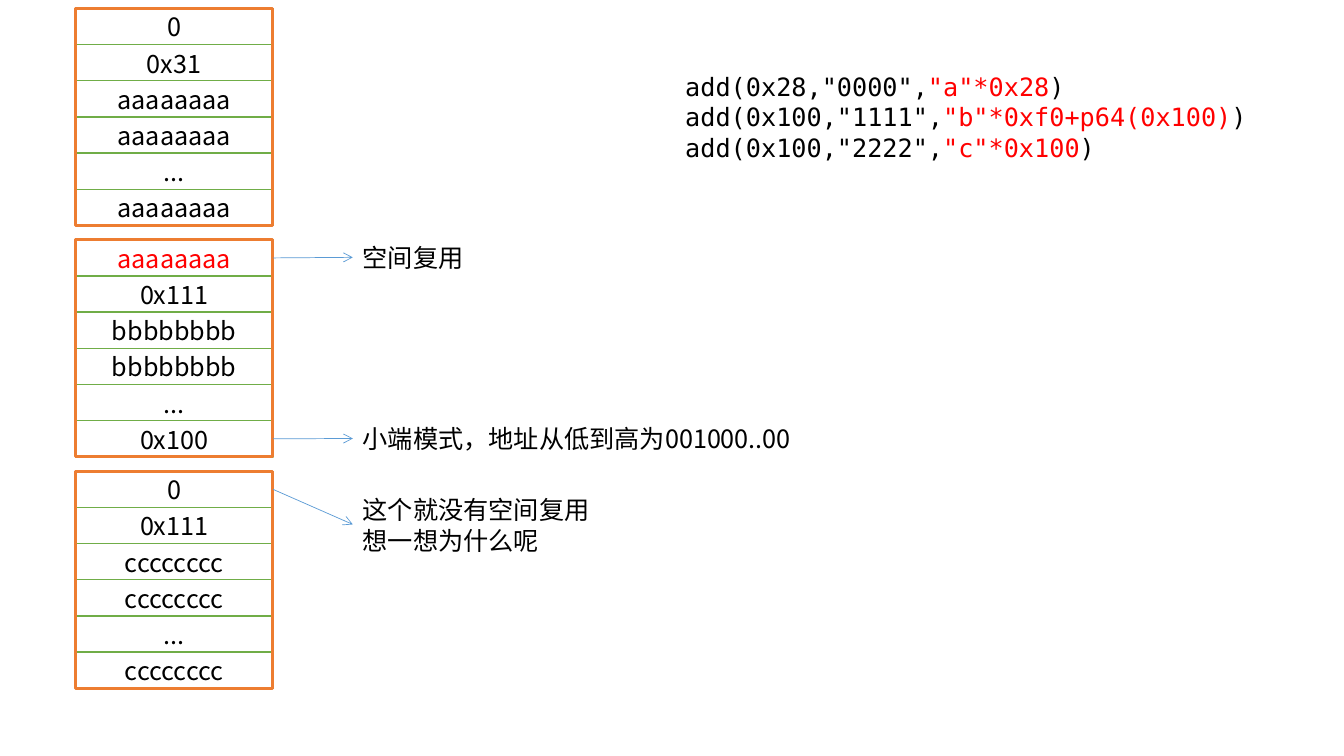
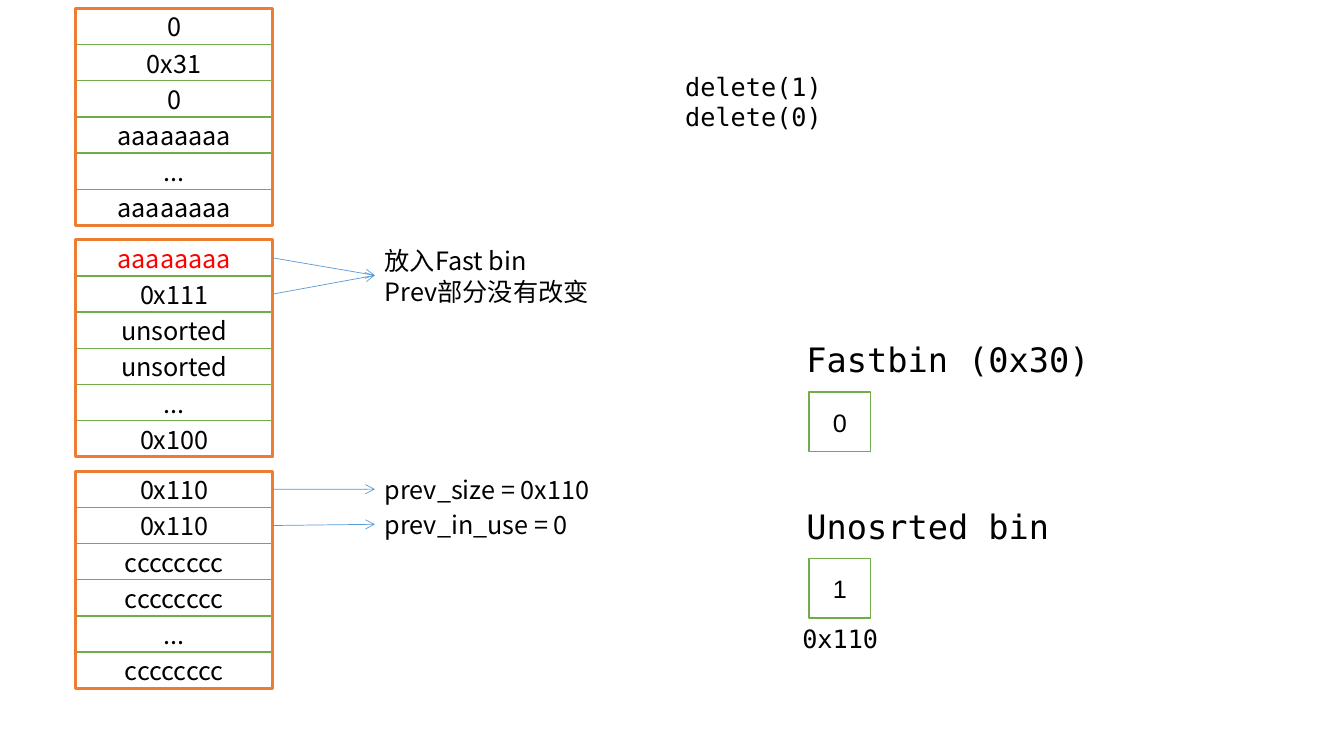
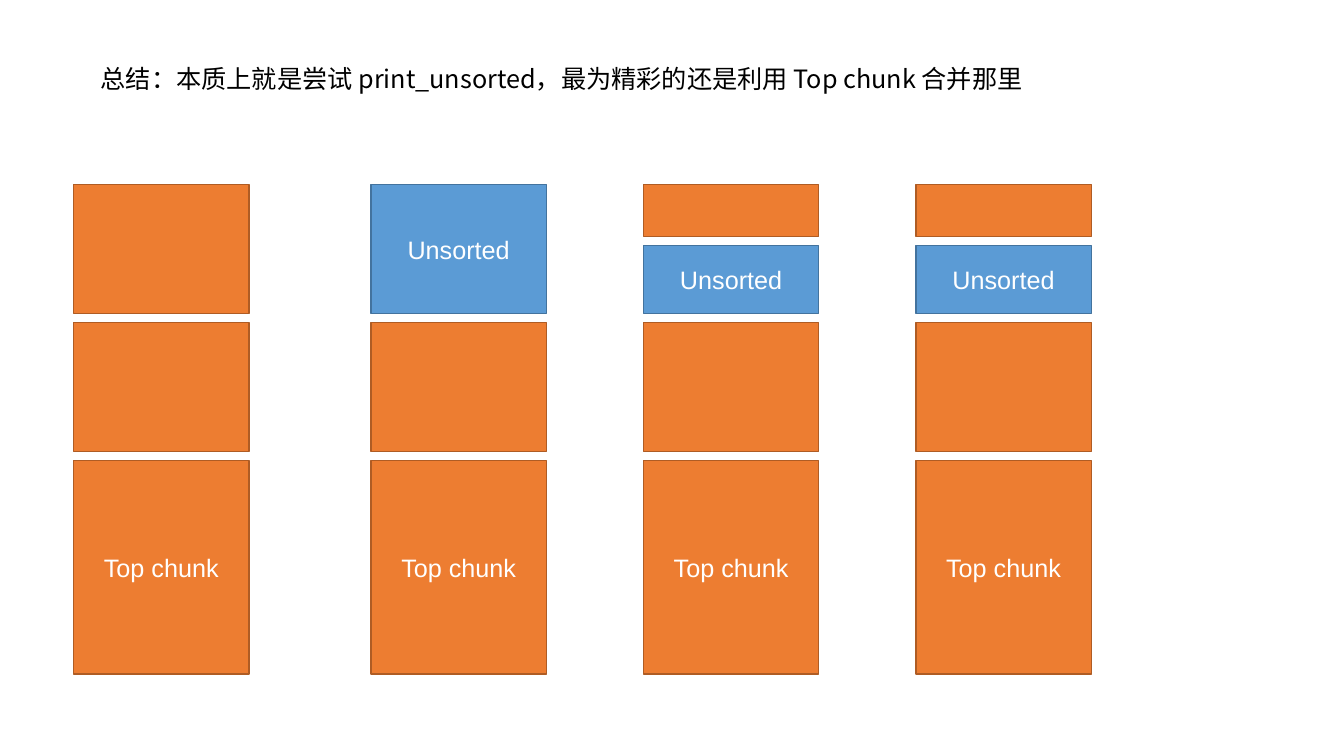
from dataclasses import dataclass

from lxml.etree import SubElement
from pptx import Presentation
from pptx.dml.color import RGBColor
from pptx.enum.shapes import MSO_CONNECTOR, MSO_SHAPE
from pptx.enum.text import MSO_ANCHOR, MSO_AUTO_SIZE, PP_ALIGN
from pptx.oxml.ns import qn
from pptx.util import Pt


@dataclass(frozen=True)
class Theme:
    black: str = "000000"
    white: str = "FFFFFF"
    red: str = "FF0000"
    green: str = "70AD47"
    orange: str = "ED7D31"
    orange_edge: str = "AF5C24"
    blue: str = "5B9BD5"
    blue_edge: str = "43739E"
    sans: str = "Arial"
    cjk: str = "Noto Sans CJK SC"
    mono: str = "DejaVu Sans Mono"
    body: int = 18
    heading: int = 24
    leading: float = 1.22


T = Theme()

# Memory column: three chunks of six rows
CHUNK_X, CHUNK_W, CHUNK_TOP, CHUNK_PITCH = 54, 141, 6, 165.3
ROW_H = 25.85

# Heap stages on the summary slide
STAGE_TOP, STAGE_W, STAGE_GAP = 131.8, 125.3, 6.6

OVERFLOW = [("aaaaaaaa", T.red)]


def rgb(code):
    return RGBColor.from_string(code)


def write(tf, lines, font, size=T.body, color=T.black, align=PP_ALIGN.LEFT):
    """Each line is a string or a list of (text, colour) runs."""
    tf.word_wrap = True
    tf.auto_size = MSO_AUTO_SIZE.NONE
    for i, line in enumerate(lines):
        p = tf.add_paragraph() if i else tf.paragraphs[0]
        p.alignment = align
        p.line_spacing = Pt(size * T.leading)
        for text, run_color in [(line, color)] if isinstance(line, str) else line:
            r = p.add_run()
            r.text = text
            r.font.name, r.font.size = font, Pt(size)
            r.font.color.rgb = rgb(run_color)
            SubElement(r.font._element, qn("a:ea"), typeface=font)


def text_height(lines, size=T.body):
    return len(lines) * size * 1.2 + 7.2


def add_text(s, x, y, w, lines, font, size=T.body, align=PP_ALIGN.LEFT):
    box = s.shapes.add_textbox(Pt(x), Pt(y), Pt(w), Pt(text_height(lines, size)))
    write(box.text_frame, lines, font, size, align=align)


def add_box(shapes, x, y, w, h, fill, line, weight=1, text=None,
            font=T.sans, color=T.black):
    sp = shapes.add_shape(MSO_SHAPE.RECTANGLE, Pt(x), Pt(y), Pt(w), Pt(h))
    sp.shadow.inherit = False
    if fill:
        sp.fill.solid()
        sp.fill.fore_color.rgb = rgb(fill)
    else:
        sp.fill.background()
    sp.line.color.rgb = rgb(line)
    sp.line.width = Pt(weight)
    if text:
        tf = sp.text_frame
        tf.vertical_anchor = MSO_ANCHOR.MIDDLE
        write(tf, [text], font, color=color, align=PP_ALIGN.CENTER)


def add_arrow(s, x1, y1, x2, y2):
    c = s.shapes.add_connector(MSO_CONNECTOR.STRAIGHT, Pt(x1), Pt(y1), Pt(x2), Pt(y2))
    c.line.color.rgb = rgb(T.blue)
    c.line.width = Pt(0.5)
    SubElement(c.line._get_or_add_ln(), qn("a:tailEnd"), type="arrow")
    SubElement(c._element.spPr, qn("a:effectLst"))


def row_top(chunk, row):
    return CHUNK_TOP + chunk * CHUNK_PITCH + row * ROW_H


def add_chunks(s, chunks):
    for i, rows in enumerate(chunks):
        shapes = s.shapes.add_group_shape().shapes
        for j, text in enumerate(rows):
            add_box(shapes, CHUNK_X, row_top(i, j), CHUNK_W, ROW_H,
                    T.white, T.green, text=text, font=T.cjk)
        add_box(shapes, CHUNK_X, row_top(i, 0), CHUNK_W, len(rows) * ROW_H,
                None, T.orange, 2.25)


def add_note(s, x, middle, w, lines, cells):
    """A remark, with an arrow to it from each (chunk, row) it explains."""
    add_text(s, x, middle - text_height(lines) / 2, w, lines, T.cjk)
    for chunk, row in cells:
        add_arrow(s, CHUNK_X + CHUNK_W, row_top(chunk, row) + ROW_H / 2, x, middle)


def add_code(s, lines):
    add_text(s, 482.4, 46.8, 436.3, lines, T.mono)


def add_bin(s, y, heading, index):
    add_text(s, 569, y, 263.5, [heading], T.mono, T.heading)
    add_box(s.shapes, 578, y + 41.8, 44, 42.5, T.white, T.green, text=index)


def add_stage(s, x, blocks):
    y = STAGE_TOP
    for h, text in blocks:
        free = text == "Unsorted"
        add_box(s.shapes, x, y, STAGE_W, h, T.blue if free else T.orange,
                T.blue_edge if free else T.orange_edge, text=text, color=T.white)
        y += h + STAGE_GAP


def allocation_slide(prs):
    s = prs.slides.add_slide(prs.slide_layouts[6])
    add_code(s, [
        [('add(0x28,"0000",', T.black), ('"a"*0x28', T.red), (")", T.black)],
        [('add(0x100,"1111",', T.black), ('"b"*0xf0+p64(0x100)', T.red), (")", T.black)],
        [('add(0x100,"2222",', T.black), ('"c"*0x100', T.red), (")", T.black)],
    ])
    add_chunks(s, [
        ["0", "0x31", "aaaaaaaa", "aaaaaaaa", "...", "aaaaaaaa"],
        [OVERFLOW, "0x111", "bbbbbbbb", "bbbbbbbb", "...", "0x100"],
        ["0", "0x111", "cccccccc", "cccccccc", "...", "cccccccc"],
    ])
    for middle, w, lines, cell in [
        (183.8, 93.6, ["空间复用"], (1, 0)),
        (313.2, 365.8, ["小端模式，地址从低到高为001000..00"], (1, 5)),
        (374.6, 209.5, ["这个就没有空间复用", "想一想为什么呢"], (2, 0)),
    ]:
        add_note(s, 252, middle, w, lines, [cell])


def free_slide(prs):
    s = prs.slides.add_slide(prs.slide_layouts[6])
    add_code(s, ["delete(1)", "delete(0)"])
    add_chunks(s, [
        ["0", "0x31", "0", "aaaaaaaa", "...", "aaaaaaaa"],
        [OVERFLOW, "0x111", "unsorted", "unsorted", "...", "0x100"],
        ["0x110", "0x110", "cccccccc", "cccccccc", "...", "cccccccc"],
    ])
    for middle, lines, cells in [
        (196.7, ["放入Fast bin", "Prev部分没有改变"], [(1, 0), (1, 1)]),
        (349.4, ["prev_size = 0x110"], [(2, 0)]),
        (374.5, ["prev_in_use = 0"], [(2, 1)]),
    ]:
        add_note(s, 267.8, middle, 189, lines, cells)

    # Bins
    add_bin(s, 238.2, "Fastbin (0x30)", "0")
    add_bin(s, 357.2, "Unosrted bin", "1")
    add_text(s, 559.5, 441.4, 81.4, ["0x110"], T.mono, align=PP_ALIGN.CENTER)


def summary_slide(prs):
    s = prs.slides.add_slide(prs.slide_layouts[5])
    title = s.shapes.title
    lines = ["总结：本质上就是尝试 print_unsorted，最为精彩的还是利用 Top chunk 合并那里"]
    title.left, title.top = Pt(64.8), Pt(41)
    title.width, title.height = Pt(816.5), Pt(text_height(lines))
    title.text_frame.vertical_anchor = MSO_ANCHOR.TOP
    write(title.text_frame, lines, T.cjk)

    # Stages of the heap, left to right
    used, top = (92, None), (152.6, "Top chunk")
    split = [(37, None), (48.4, "Unsorted")]
    for x, blocks in [
        (52.6, [used, used, top]),
        (265, [(92, "Unsorted"), used, top]),
        (459.6, [*split, used, top]),
        (654.2, [*split, used, top]),
    ]:
        add_stage(s, x, blocks)


def main():
    prs = Presentation()
    prs.slide_width, prs.slide_height = Pt(960), Pt(540)
    allocation_slide(prs)
    free_slide(prs)
    summary_slide(prs)
    prs.save("out.pptx")


if __name__ == "__main__":
    main()
